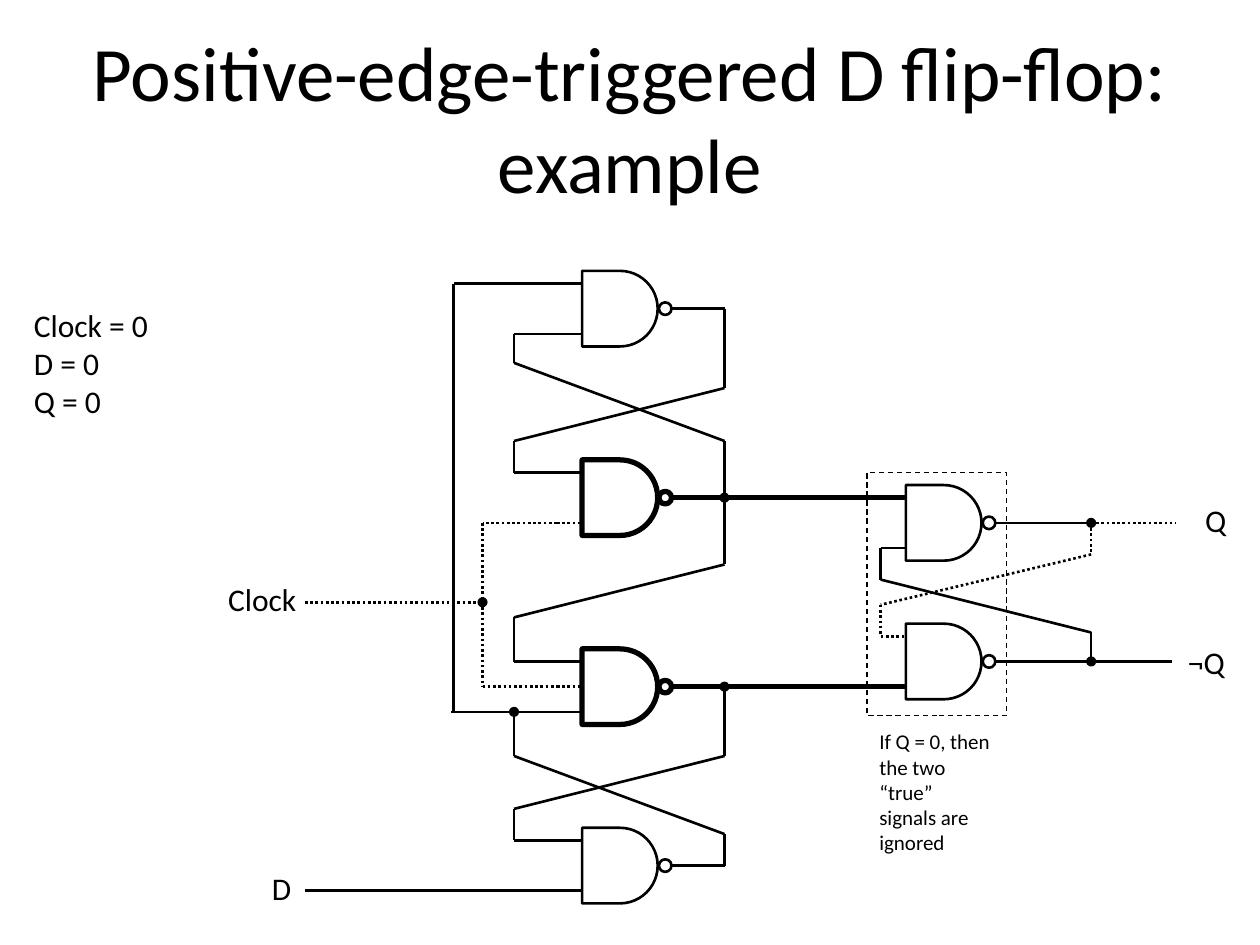
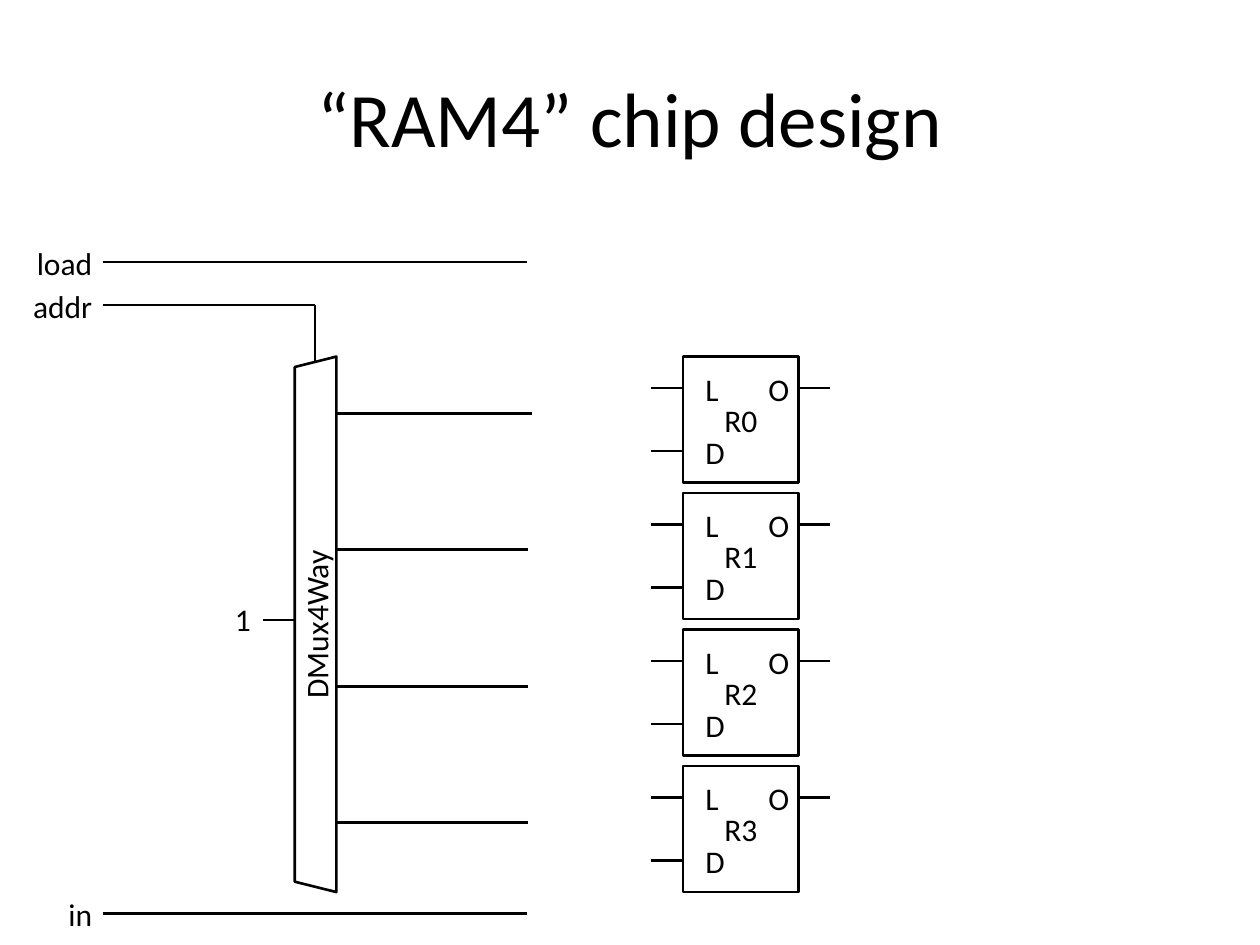
"""Build two slides on logic circuits: a D flip-flop and a four-register RAM."""
import lxml.etree
import pptx
import pptx.dml.color
import pptx.enum.dml
import pptx.enum.shapes
import pptx.enum.text
import pptx.oxml.ns
import pptx.util

Inches = pptx.util.Inches
Shape = pptx.enum.shapes.MSO_SHAPE
Align = pptx.enum.text.PP_ALIGN
Anchor = pptx.enum.text.MSO_ANCHOR
DOTTED = pptx.enum.dml.MSO_LINE.ROUND_DOT
DASHED = pptx.enum.dml.MSO_LINE.DASH

BLACK = pptx.dml.color.RGBColor(0x00, 0x00, 0x00)
WHITE = pptx.dml.color.RGBColor(0xFF, 0xFF, 0xFF)
FONT = "Calibri"
THIN, NORMAL, BOLD = 0.75, 1.5, 3
TITLE_SIZE, LABEL_SIZE, NOTE_SIZE = 44, 18, 12


def style_line(line, weight, dash=None):
    """Give a line or outline its colour, weight and dash."""
    line.color.rgb = BLACK
    line.width = pptx.util.Pt(weight)
    if dash is not None:
        line.dash_style = dash


def write_text(shape, text, size=LABEL_SIZE, align=Align.LEFT, anchor=Anchor.MIDDLE):
    """Fill a shape's text frame, one paragraph per line of text."""
    frame = shape.text_frame
    frame.text = text
    frame.word_wrap = True
    frame.vertical_anchor = anchor
    for paragraph in frame.paragraphs:
        paragraph.alignment = align
        paragraph.font.name = FONT
        paragraph.font.size = pptx.util.Pt(size)
        paragraph.font.color.rgb = BLACK


def add_label(shapes, left, top, width, height, text, **style):
    """Add a text box and return it."""
    label = shapes.add_textbox(Inches(left), Inches(top), Inches(width), Inches(height))
    write_text(label, text, **style)
    return label


def add_outline(shapes, kind, left, top, width, height, weight=NORMAL, fill=None, dash=None):
    """Add a preset shape with a black outline, empty unless a fill is given."""
    shape = shapes.add_shape(kind, Inches(left), Inches(top), Inches(width), Inches(height))
    shape.shadow.inherit = False
    if fill is None:
        shape.fill.background()
    else:
        shape.fill.solid()
        shape.fill.fore_color.rgb = fill
    style_line(shape.line, weight, dash)
    return shape


def add_wire(shapes, left, top, points, weight=NORMAL, dash=None):
    """Join points, measured from left and top, with straight connectors."""
    for (x1, y1), (x2, y2) in zip(points, points[1:]):
        connector = shapes.add_connector(
            pptx.enum.shapes.MSO_CONNECTOR.STRAIGHT,
            Inches(left + x1), Inches(top + y1), Inches(left + x2), Inches(top + y2))
        style_line(connector.line, weight, dash)
        properties = connector.line._get_or_add_ln().getparent()
        lxml.etree.SubElement(properties, pptx.oxml.ns.qn("a:effectLst"))


def add_junctions(shapes, left, top, points):
    """Mark wire junctions with small solid dots."""
    size = 0.07
    for x, y in points:
        add_outline(shapes, Shape.OVAL, left + x - size / 2, top + y - size / 2,
                    size, size, THIN, BLACK)


def add_nand_gate(slide, left, top, inputs, weight=NORMAL):
    """Draw a NAND gate; inputs are (height, weight, dash) of its input pins."""
    side, pin, bubble = 0.6, 0.2, 0.1
    shapes = slide.shapes.add_group_shape().shapes
    add_outline(shapes, Shape.FLOWCHART_DELAY, left, top, side, side, weight)
    add_wire(shapes, left, top, [(side, side / 2), (side + pin, side / 2)], weight)
    for height, pin_weight, dash in inputs:
        add_wire(shapes, left, top, [(-pin, height), (0, height)], pin_weight, dash)
    add_outline(shapes, Shape.OVAL, left + side + 0.01, top + (side - bubble) / 2,
                bubble, bubble, weight, WHITE)


def add_titled_slide(presentation, text):
    """Add a title-only slide and format its title."""
    slide = presentation.slides.add_slide(presentation.slide_layouts[5])
    title = slide.shapes.title
    title.left, title.top = Inches(0.5), Inches(0.3)
    title.width, title.height = Inches(9), Inches(1.25)
    write_text(title, text, size=TITLE_SIZE, align=Align.CENTER)
    title.text_frame.auto_size = pptx.enum.text.MSO_AUTO_SIZE.NONE
    return slide


def draw_input_stage(slide, left, top):
    """Draw the four gates fed by clock and data; left is the feedback line."""
    upper, middle, lower = (0.1, NORMAL, None), (0.3, NORMAL, DOTTED), (0.5, NORMAL, None)
    clocked = (0.5, NORMAL, DOTTED)
    gate = 1.02
    add_nand_gate(slide, left + gate, top, [upper, lower])
    add_nand_gate(slide, left + gate, top + 1.5, [upper, clocked], BOLD)
    add_nand_gate(slide, left + gate, top + 3, [upper, middle, lower], BOLD)
    add_nand_gate(slide, left + gate, top + 4.42, [upper, lower])

    source, clock, loop, pin, output, node, latch = -1.18, 0.23, 0.48, 0.82, 1.82, 2.15, 3.39
    solid_wires = [
        [(source, 4.92), (pin, 4.92)],
        [(output, 0.3), (node, 0.3), (node, 0.93), (loop, 1.35), (loop, 1.6), (pin, 1.6)],
        [(pin, 0.5), (loop, 0.5), (loop, 0.73), (node, 1.35), (node, 2.33),
         (loop, 2.75), (loop, 3.1), (pin, 3.1)],
        [(node, 3.3), (node, 3.85), (loop, 4.27), (loop, 4.52), (pin, 4.52)],
        [(output, 4.72), (node, 4.72), (node, 4.47), (loop, 3.85), (loop, 3.5)],
        [(pin, 0.1), (0, 0.1), (0, 3.5)],
        [(-0.02, 3.5), (pin, 3.5)],
    ]
    for points in solid_wires:
        add_wire(slide.shapes, left, top, points)
    for row in (1.8, 3.3):
        add_wire(slide.shapes, left, top, [(output, row), (latch, row)], BOLD)
    add_wire(slide.shapes, left, top, [(source, 2.63), (clock, 2.63)], dash=DOTTED)
    add_wire(slide.shapes, left, top,
             [(pin, 2), (clock, 2), (clock, 3.3), (pin, 3.3)], dash=DOTTED)
    add_junctions(slide.shapes, left, top,
                  [(clock, 2.63), (loop, 3.5), (node, 1.8), (node, 3.3)])
    add_label(slide.shapes, left - 2.43, top + 2.35, 1.28, 0.5, "Clock", align=Align.RIGHT)
    add_label(slide.shapes, left - 1.63, top + 4.65, 0.44, 0.5, "D", align=Align.RIGHT)


def draw_output_latch(slide, left, top):
    """Draw the output latch, its dashed frame, note and output labels."""
    width, height = 1.11, 1.93
    add_nand_gate(slide, left + 0.31, top + 0.1,
                  [(0.1, BOLD, None), (0.5, NORMAL, None)])
    add_nand_gate(slide, left + 0.31, top + 1.2,
                  [(0.1, NORMAL, DOTTED), (0.5, BOLD, None)])
    pin, node, true_row, false_row = 0.11, 1.78, 0.4, 1.5
    add_wire(slide.shapes, left, top, [(width, true_row), (node + 0.04, true_row)])
    add_wire(slide.shapes, left, top, [(node + 0.04, true_row), (2.45, true_row)], dash=DOTTED)
    add_wire(slide.shapes, left, top,
             [(node, true_row), (node, 0.65), (pin, 1.05), (pin, 1.3)], dash=DOTTED)
    add_wire(slide.shapes, left, top,
             [(pin, 0.6), (pin, 0.85), (node, 1.27), (node, false_row)])
    add_wire(slide.shapes, left, top, [(1.08, false_row), (node, false_row), (2.42, false_row)])
    add_junctions(slide.shapes, left, top, [(node, true_row), (node, false_row)])
    add_outline(slide.shapes, Shape.RECTANGLE, left, top, width, height, THIN, dash=DASHED)
    add_label(slide.shapes, left, top + 2.08, width, 0.91,
              "If Q = 0, then the two “true” signals are ignored", size=NOTE_SIZE)
    add_label(slide.shapes, left + 2.51, top + 0.13, 0.44, 0.5, "Q", align=Align.RIGHT)
    add_label(slide.shapes, left + 2.45, top + 1.25, 0.5, 0.5, "¬Q")


def draw_register(slide, left, top, name):
    """Draw a register with load and data inputs and one output."""
    width, height, pin, load_row, data_row = 0.92, 1, 0.25, 0.25, 0.75
    shapes = slide.shapes.add_group_shape().shapes
    box = add_outline(shapes, Shape.RECTANGLE, left, top, width, height)
    write_text(box, name, align=Align.CENTER)
    for letter, x, row in (("D", 0.08, data_row), ("L", 0.08, load_row), ("O", 0.58, load_row)):
        add_label(shapes, left + x, top + row - 0.16, 0.25, 0.33, letter, align=Align.CENTER)
    for x, row in ((-pin, load_row), (-pin, data_row), (width, load_row)):
        add_wire(shapes, left, top, [(x, row), (x + pin, row)])


def draw_demultiplexer(slide, left, top, pitch):
    """Draw the four-way demultiplexer with its input and output wires."""
    width, height = 0.33, 4.25
    body = add_outline(slide.shapes, Shape.TRAPEZOID, left + (width - height) / 2,
                       top + (height - width) / 2, height, width)
    body.rotation = 270
    write_text(body, "DMux4Way", align=Align.CENTER)
    for index in range(4):
        row = 0.45 + index * pitch
        end = 1.88 if index == 0 else 1.85
        add_wire(slide.shapes, left, top, [(width, row), (end, row)])
    add_wire(slide.shapes, left, top, [(-0.25, 2.09), (0, 2.09)])
    add_label(slide.shapes, left - 0.93, top + 1.96, 0.68, 0.25, "1", align=Align.RIGHT)


def draw_chip_inputs(slide, left, top):
    """Draw the labelled input wires of the chip."""
    start, end, select = 0.67, 4.03, 2.35
    signals = {
        "load": (0.12, [(start, 0.12), (end, 0.12)]),
        "addr": (0.46, [(start, 0.46), (select, 0.46), (select, 0.92)]),
        "in": (5.29, [(start, 5.29), (end, 5.29)]),
    }
    for name, (row, points) in signals.items():
        add_wire(slide.shapes, left, top, points)
        add_label(slide.shapes, left, top + row - 0.12, 0.68, 0.25, name, align=Align.RIGHT)


def build_flip_flop_slide(presentation):
    """Build the flip-flop example."""
    slide = add_titled_slide(presentation, "Positive-edge-triggered D flip-flop: example")
    draw_input_stage(slide, 3.6, 2.15)
    draw_output_latch(slide, 6.88, 3.75)
    state = add_label(slide.shapes, 0.17, 2.08, 2.61, 1.57,
                      "Clock = 0\nD = 0\nQ = 0", anchor=Anchor.TOP)
    state.text_frame.margin_top = Inches(0.35)


def build_memory_slide(presentation):
    """Build the memory chip design."""
    slide = add_titled_slide(presentation, "“RAM4” chip design")
    top, pitch = 2.83, 3.25 / 3
    for index in range(4):
        draw_register(slide, 5.42, top + index * pitch, f"R{index}")
    draw_demultiplexer(slide, 2.34, top, pitch)
    draw_chip_inputs(slide, 0.15, 1.96)


def main():
    """Build and save the presentation."""
    presentation = pptx.Presentation()
    presentation.slide_width, presentation.slide_height = Inches(10), Inches(7.5)
    build_flip_flop_slide(presentation)
    build_memory_slide(presentation)
    presentation.save("out.pptx")


main()
